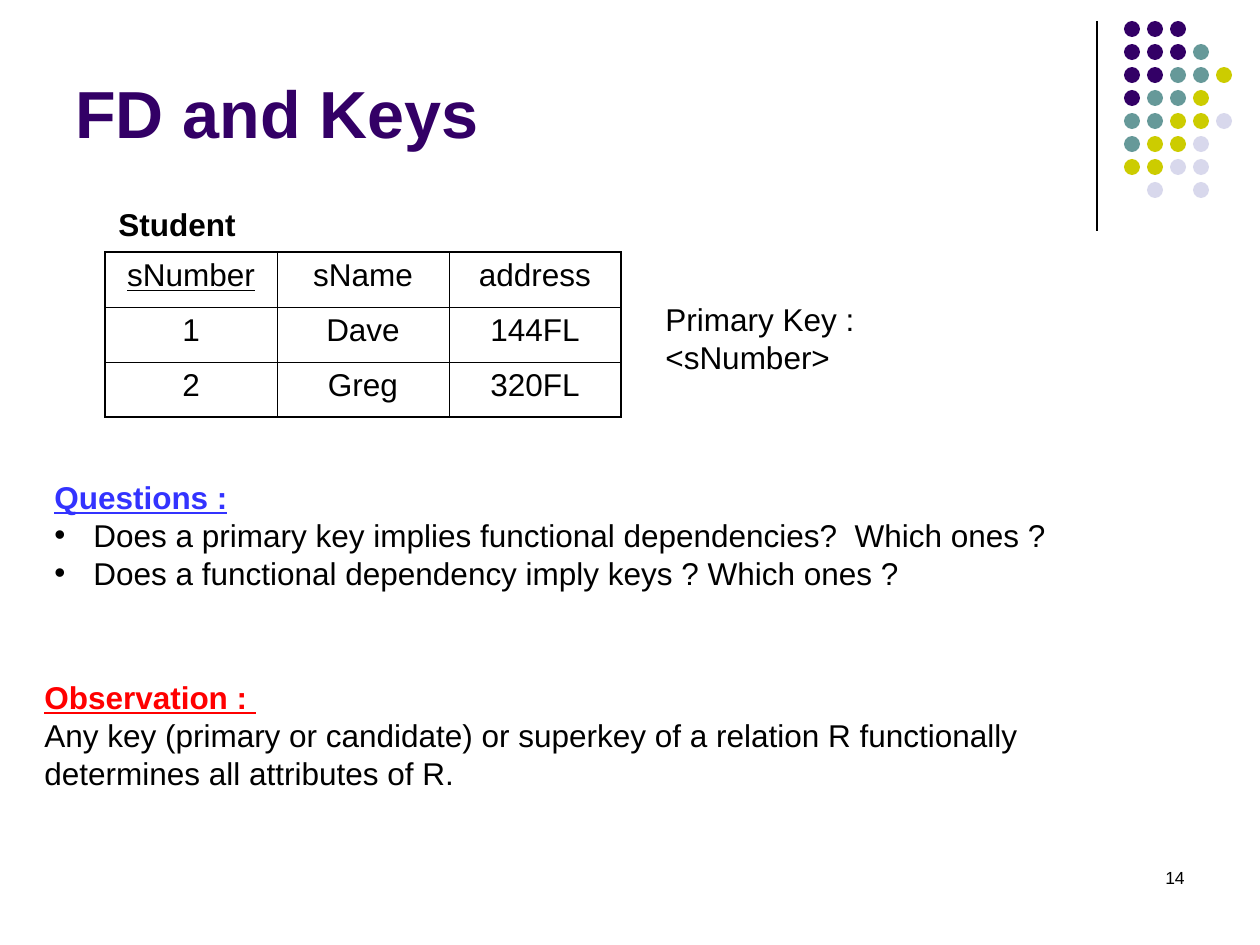
from lxml import etree
from pptx import Presentation, util as u
from pptx.dml.color import RGBColor
from pptx.enum import shapes, text
from pptx.oxml import parse_xml
from pptx.oxml.ns import nsdecls, qn

PX = 914400 / 126
COLORS = {"purple": "330066", "teal": "669999", "lime": "CCCC00", "mist": "D8D8EC",
          "black": "000000", "blue": "3333FF", "red": "FF0000"}
DOT_COLORS = {"P": "purple", "T": "teal", "L": "lime", "M": "mist"}
DOT_ROWS = ["PPP", "PPPT", "PPTTL", "PTTL", "TTLLM", "TLLM", "LLMM", " M M"]
DOT_ORIGIN, DOT_PITCH, DOT_SIZE = (1124, 21), 23, 16

STUDENTS = [("sNumber", "sName", "address"),
            ("1", "Dave", "144FL"),
            ("2", "Greg", "320FL")]
TABLE_AT, COL_W, ROW_H = (105, 252), 172, 55

BODY = {"spacing": 21.6}
BULLET = {**BODY, "bullet": True}
# box in px, box options, paragraphs with their format
TEXTS = [
    ((63, 16, 1040, 142), {"anchor": "BOTTOM"},
     [("FD and Keys", {"size": 38, "color": "purple", "bold": True})]),
    ((106, 199, 142, 50), {"wrap": False}, [("Student", {**BODY, "bold": True})]),
    ((42, 472, 1029, 126), {}, [
        ("Questions :", {**BODY, "color": "blue", "bold": True, "underline": True}),
        ("Does a primary key implies functional dependencies?  Which ones ?", BULLET),
        ("Does a functional dependency imply keys ? Which ones ?", BULLET)]),
    ((32, 672, 1018, 126), {}, [
        ("Observation : ", {**BODY, "color": "red", "bold": True, "underline": True}),
        ("Any key (primary or candidate) or superkey of a relation R functionally "
         "determines all attributes of R.", BODY)]),
    ((653, 294, 387, 50), {"wrap": False}, [("Primary Key : <sNumber>", BODY)]),
    ((903, 861, 294, 63), {}, [("14", {"size": 10, "align": "RIGHT"})]),
]


def emu(*lengths):
    return [u.Emu(round(n * PX)) for n in lengths]


def rgb(name):
    return RGBColor.from_string(COLORS[name])


def write(p, words, size=18, color="black", bold=False, underline=False,
          align="LEFT", spacing=None, bullet=False):
    if bullet:
        indent = emu(39)[0]
        pPr = p._p.get_or_add_pPr()
        pPr.set("marL", str(indent))
        pPr.set("indent", str(-indent))
        etree.SubElement(pPr, qn("a:buFont")).set("typeface", "Arial")
        etree.SubElement(pPr, qn("a:buChar")).set("char", "•")
    p.alignment = text.PP_ALIGN[align]
    if spacing:
        p.line_spacing = u.Pt(spacing)
    r = p.add_run()
    r.text = words
    f = r.font
    f.name, f.size, f.bold, f.underline = "Arial", u.Pt(size), bold, underline
    f.color.rgb = rgb(color)


def add_text(s, box, paragraphs, wrap=True, anchor="TOP"):
    tf = s.shapes.add_textbox(*emu(*box)).text_frame
    tf.word_wrap = wrap
    tf.vertical_anchor = text.MSO_ANCHOR[anchor]
    for i, (words, style) in enumerate(paragraphs):
        write(tf.add_paragraph() if i else tf.paragraphs[0], words, **style)


def add_dots(s):
    left, top = DOT_ORIGIN
    for row, codes in enumerate(DOT_ROWS):
        for col, code in enumerate(codes):
            if code == " ":
                continue
            dot = s.shapes.add_shape(
                shapes.MSO_SHAPE.OVAL,
                *emu(left + col * DOT_PITCH, top + row * DOT_PITCH, DOT_SIZE, DOT_SIZE))
            dot.shadow.inherit = False
            dot.fill.solid()
            dot.fill.fore_color.rgb = rgb(DOT_COLORS[code])
            dot.line.fill.background()


def set_borders(cell, outer):
    """Draw all four sides, heavier on the sides named in outer."""
    tcPr = cell._tc.get_or_add_tcPr()
    for i, side in enumerate("LRTB"):
        width = u.Pt(1.08 if side in outer else 0.45)
        tcPr.insert(i, parse_xml(
            f'<a:ln{side} {nsdecls("a")} w="{width}"><a:solidFill>'
            f'<a:srgbClr val="{COLORS["black"]}"/></a:solidFill></a:ln{side}>'))


def add_student_table(s):
    n_rows, n_cols = len(STUDENTS), len(STUDENTS[0])
    table = s.shapes.add_table(
        n_rows, n_cols, *emu(*TABLE_AT, n_cols * COL_W, n_rows * ROW_H)).table
    for i, row in enumerate(STUDENTS):
        for j, words in enumerate(row):
            cell = table.cell(i, j)
            cell.fill.background()
            edges = {"L": j == 0, "R": j == n_cols - 1, "T": i == 0, "B": i == n_rows - 1}
            set_borders(cell, [side for side, is_edge in edges.items() if is_edge])
            write(cell.text_frame.paragraphs[0], words, align="CENTER",
                  underline=words == "sNumber")


def add_rule(s):
    rule = s.shapes.add_connector(shapes.MSO_CONNECTOR.STRAIGHT, *emu(1097, 21, 1097, 231))
    rule.line.color.rgb = rgb("black")
    rule.line.width = u.Pt(0.75)
    etree.SubElement(rule._element.spPr, qn("a:effectLst"))


def main():
    prs = Presentation()
    prs.slide_width, prs.slide_height = u.Inches(10), u.Inches(7.5)
    s = prs.slides.add_slide(prs.slide_layouts[6])
    add_rule(s)
    add_dots(s)
    add_student_table(s)
    for box, options, paragraphs in TEXTS:
        add_text(s, box, paragraphs, **options)
    prs.save("out.pptx")


if __name__ == "__main__":
    main()
